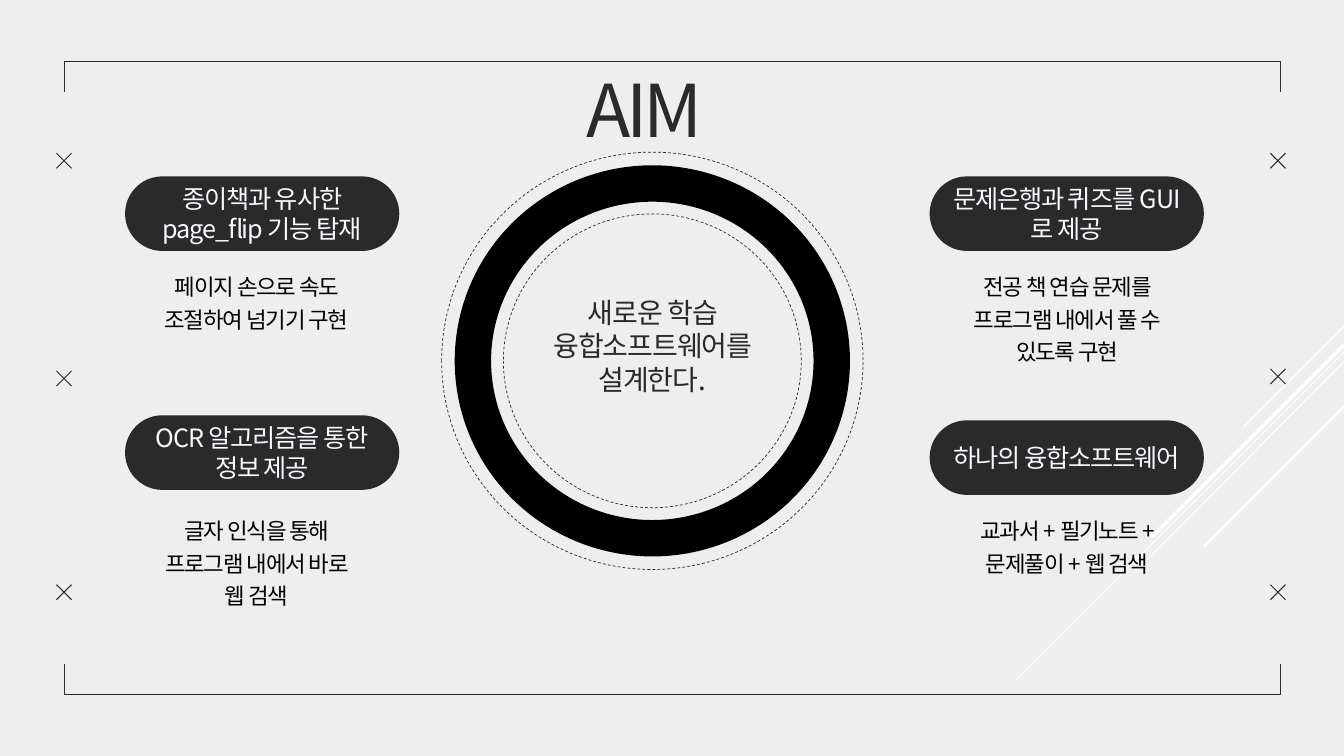
import pptx
import pptx.util
import pptx.dml.color
import pptx.enum.dml
import pptx.enum.shapes
import pptx.enum.text
import pptx.oxml.ns
from lxml import etree

Inches = pptx.util.Inches
Pt = pptx.util.Pt
MSO = pptx.enum.shapes.MSO_SHAPE
ANCHOR = pptx.enum.text.MSO_ANCHOR
qn = pptx.oxml.ns.qn
RGB = pptx.dml.color.RGBColor.from_string

FONT = "Noto Sans CJK KR"
COLORS = {"paper": "EEEEEE", "ink": "2A2A2A", "black": "000000",
          "white": "FFFFFF", "label": "FAF7FF"}

prs = pptx.Presentation()
prs.slide_width = Inches(13.33)
prs.slide_height = Inches(7.5)
s = prs.slides.add_slide(prs.slide_layouts[6])
s.background.fill.solid()
s.background.fill.fore_color.rgb = RGB(COLORS["paper"])


def write(tf, lines, size, color, spacing=-0.8, insets=None, **formats):
    tf.word_wrap = True
    if insets:
        for side, inset in zip(("left", "top", "right", "bottom"), insets):
            setattr(tf, f"margin_{side}", Inches(inset))
    for i, line in enumerate(lines):
        p = tf.paragraphs[0] if i == 0 else tf.add_paragraph()
        p.alignment = pptx.enum.text.PP_ALIGN.CENTER
        for name, value in formats.items():
            setattr(p, name, value)
        r = p.add_run()
        r.text = line
        for name, value in {"size": Pt(size), "name": FONT}.items():
            setattr(r.font, name, value)
        r.font.color.rgb = RGB(COLORS[color])
        rPr = r._r.get_or_add_rPr()
        rPr.set("spc", str(round(spacing * 100)))
        etree.SubElement(rPr, qn("a:ea"), typeface=FONT)


def add_line(x1, y1, x2, y2, color, width):
    c = s.shapes.add_connector(pptx.enum.shapes.MSO_CONNECTOR.STRAIGHT,
                               Inches(x1), Inches(y1), Inches(x2), Inches(y2))
    c.line.color.rgb = RGB(COLORS[color])
    c.line.width = Pt(width)
    etree.SubElement(c._element.spPr, qn("a:effectLst"))


for y1, x2, y2, width in [(3.24, 12.33, 4.24, 0.75), (3.49, 10.07, 6.75, 0.75),
                          (3.59, 11.26, 5.67, 0.75), (3.42, 11.42, 5.33, 2.25),
                          (4.03, 11.94, 5.42, 2.25)]:
    add_line(13.33, y1, x2, y2, "white", width)

for top, rotation in [(-5.27, 270), (0.71, 90)]:
    sp = s.shapes.add_shape(MSO.RIGHT_BRACKET, Inches(6.52), Inches(top),
                            Inches(0.3), Inches(12.06))
    sp.rotation = rotation
    sp.adjustments[0] = 0
    sp.shadow.inherit = False
    sp.fill.background()
    sp.line.color.rgb = RGB(COLORS["ink"])
    sp.line.width = Pt(0.75)

for left, tops in [(0.56, (1.52, 3.68, 5.8)), (12.6, (1.52, 3.66, 5.8))]:
    for top in tops:
        add_line(left, top, left + 0.15, top + 0.15, "ink", 0.75)
        add_line(left + 0.15, top, left, top + 0.15, "ink", 0.75)

for left, top, width, height, band in [(4.51, 1.64, 3.92, 3.88, 0.093),
                                       (4.38, 1.51, 4.18, 4.14, 0.148)]:
    sp = s.shapes.add_shape(MSO.DONUT, Inches(left), Inches(top),
                            Inches(width), Inches(height))
    sp.adjustments[0] = band
    sp.shadow.inherit = False
    if left == 4.51:
        sp.fill.solid()
        sp.fill.fore_color.rgb = RGB(COLORS["black"])
        sp.line.fill.background()
    else:
        sp.fill.background()
        sp.line.color.rgb = RGB(COLORS["ink"])
        sp.line.width = Pt(0.5)
        sp.line.dash_style = pptx.enum.dml.MSO_LINE.DASH

headings = [
    (5.71, 0.62, 1.37, 0.91, "AIM", 52, -3),
    (5.07, 2.91, 2.8, 1.05, "새로운 학습 융합소프트웨어를 설계한다.", 20, -0.8),
]
for left, top, width, height, text, size, spacing in headings:
    sp = s.shapes.add_textbox(Inches(left), Inches(top), Inches(width), Inches(height))
    write(sp.text_frame, [text], size, "ink", spacing, (0.06, 0.02, 0.06, 0.02))
    sp.text_frame.word_wrap = text != "AIM"

goals = [
    (1.24, 1.75, ["종이책과 유사한", "page_flip 기능 탑재"],
     1.58, 2.66, 0.62, "페이지 손으로 속도 조절하여 넘기기 구현"),
    (9.22, 1.75, ["문제은행과 퀴즈를 GUI로 제공"],
     9.62, 2.66, 0.95, "전공 책 연습 문제를 프로그램 내에서 풀 수 있도록 구현"),
    (1.24, 4.12, ["OCR 알고리즘을 통한", "정보 제공"],
     1.58, 5.08, 0.95, "글자 인식을 통해 프로그램 내에서 바로 웹 검색"),
    (9.22, 4.17, ["하나의 융합소프트웨어"],
     9.62, 5.08, 0.62, "교과서 + 필기노트 + 문제풀이 + 웹 검색"),
]
for left, top, title, text_left, text_top, text_height, text in goals:
    sp = s.shapes.add_shape(MSO.ROUNDED_RECTANGLE, Inches(left), Inches(top),
                            Inches(2.72), Inches(0.74))
    sp.adjustments[0] = 0.5
    sp.shadow.inherit = False
    sp.fill.solid()
    sp.fill.fore_color.rgb = RGB(COLORS["ink"])
    sp.line.fill.background()
    sp.text_frame.vertical_anchor = ANCHOR.MIDDLE
    write(sp.text_frame, title, 18, "label")
    sp = s.shapes.add_textbox(Inches(text_left), Inches(text_top),
                              Inches(1.93), Inches(text_height))
    write(sp.text_frame, [text], 16, "black", insets=(0, 0, 0, 0),
          line_spacing=1.2, space_after=Pt(2))

prs.save("out.pptx")
